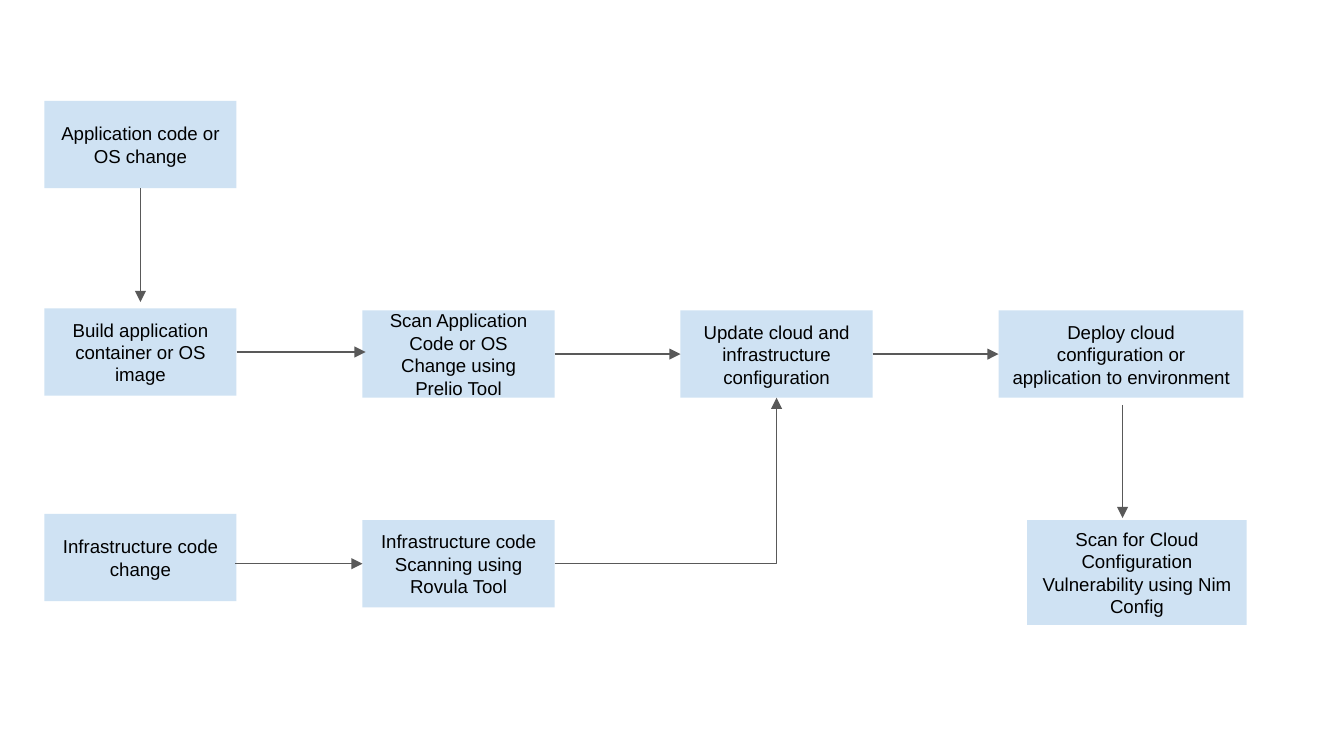
from lxml.etree import SubElement
from pptx import Presentation
from pptx.dml.color import RGBColor
from pptx.enum.shapes import MSO_CONNECTOR, MSO_SHAPE
from pptx.enum.text import MSO_ANCHOR, PP_ALIGN
from pptx.oxml.ns import qn
from pptx.util import Inches, Pt

COLORS = {"box": "CFE2F3", "text": "000000", "arrow": "595959"}
LEFT, TOP = 0.33, 0.75
COLUMN_PITCH, ROW_PITCH = 7.1 / 3, 1.56
BOX_WIDTH, BOX_HEIGHT = 1.43 / COLUMN_PITCH, 0.65 / ROW_PITCH
MIDDLE = BOX_HEIGHT / 2
CENTER = BOX_WIDTH / 2

BOXES = [
    ("Application code or OS change", 0, 0),
    ("Build application container or OS image", 0, 0.99),
    ("Scan Application Code or OS Change using Prelio Tool", 1, 1),
    ("Update cloud and infrastructure configuration", 2, 1),
    ("Deploy cloud configuration or application to environment", 3, 1, 0.77),
    ("Infrastructure code change", 0, 1.97),
    ("Infrastructure code Scanning using Rovula Tool", 1, 2),
    ("Scan for Cloud Configuration Vulnerability using Nim Config", 3.09, 2, 0.69, 0.5),
]
VERTICAL_ARROWS = [
    ((CENTER, BOX_HEIGHT), (CENTER, 0.96)),
    ((3.39, 1.45), (3.39, 1.99)),
]
HORIZONTAL_ARROWS = [
    ((BOX_WIDTH, 0.99 + MIDDLE), (1.01, 0.99 + MIDDLE)),
    ((1 + BOX_WIDTH, 1 + MIDDLE), (2, 1 + MIDDLE)),
    ((2 + BOX_WIDTH, 1 + MIDDLE), (3, 1 + MIDDLE)),
    ((0.6, 2 + MIDDLE), (1, 2 + MIDDLE)),
]


class FlowSlide:
    """Draws a flow chart on a slide, with positions in grid columns and rows."""

    def __init__(self, presentation):
        self.slide = presentation.slides.add_slide(presentation.slide_layouts[6])
        self.font_name, self.font_size = "Arial", Pt(10)
        self.line_width = Pt(0.75)

    def color(self, name):
        return RGBColor.from_string(COLORS[name])

    def point(self, column, row):
        return Inches(LEFT + column * COLUMN_PITCH), Inches(TOP + row * ROW_PITCH)

    def box(self, text, column, row, width=BOX_WIDTH, height=BOX_HEIGHT):
        shape = self.slide.shapes.add_shape(
            MSO_SHAPE.RECTANGLE, *self.point(column, row),
            Inches(width * COLUMN_PITCH), Inches(height * ROW_PITCH))
        shape.shadow.inherit = False
        shape.fill.solid()
        shape.fill.fore_color.rgb = self.color("box")
        shape.line.fill.background()
        frame = shape.text_frame
        frame.text = text
        frame.word_wrap = True
        frame.vertical_anchor = MSO_ANCHOR.MIDDLE
        frame.margin_left = frame.margin_right = Inches(0.1)
        frame.margin_top = frame.margin_bottom = Inches(0.1)
        paragraph = frame.paragraphs[0]
        paragraph.alignment = PP_ALIGN.CENTER
        font = paragraph.runs[0].font
        font.name, font.size = self.font_name, self.font_size
        font.color.rgb = self.color("text")

    def arrow(self, start, end, kind=MSO_CONNECTOR.STRAIGHT):
        connector = self.slide.shapes.add_connector(
            kind, *self.point(*start), *self.point(*end))
        connector.line.width = self.line_width
        connector.line.color.rgb = self.color("arrow")
        properties = connector._element.spPr
        SubElement(properties.find(qn("a:ln")), qn("a:tailEnd"), type="triangle")
        SubElement(properties, qn("a:effectLst"))
        return connector

    def corner_arrow(self, start, end):
        connector = self.arrow(start, end, MSO_CONNECTOR.ELBOW)
        connector._element.spPr.find(qn("a:prstGeom")).set("prst", "bentConnector2")


def main():
    presentation = Presentation()
    presentation.slide_width = Inches(10)
    presentation.slide_height = presentation.slide_width * 9 // 16
    flow = FlowSlide(presentation)
    for box in BOXES:
        flow.box(*box)
    for start, end in VERTICAL_ARROWS:
        flow.arrow(start, end)
    for start, end in HORIZONTAL_ARROWS:
        flow.arrow(start, end, MSO_CONNECTOR.ELBOW)
    flow.corner_arrow((1 + BOX_WIDTH, 2 + MIDDLE), (2 + CENTER, 1 + BOX_HEIGHT))
    presentation.save("out.pptx")


if __name__ == "__main__":
    main()
